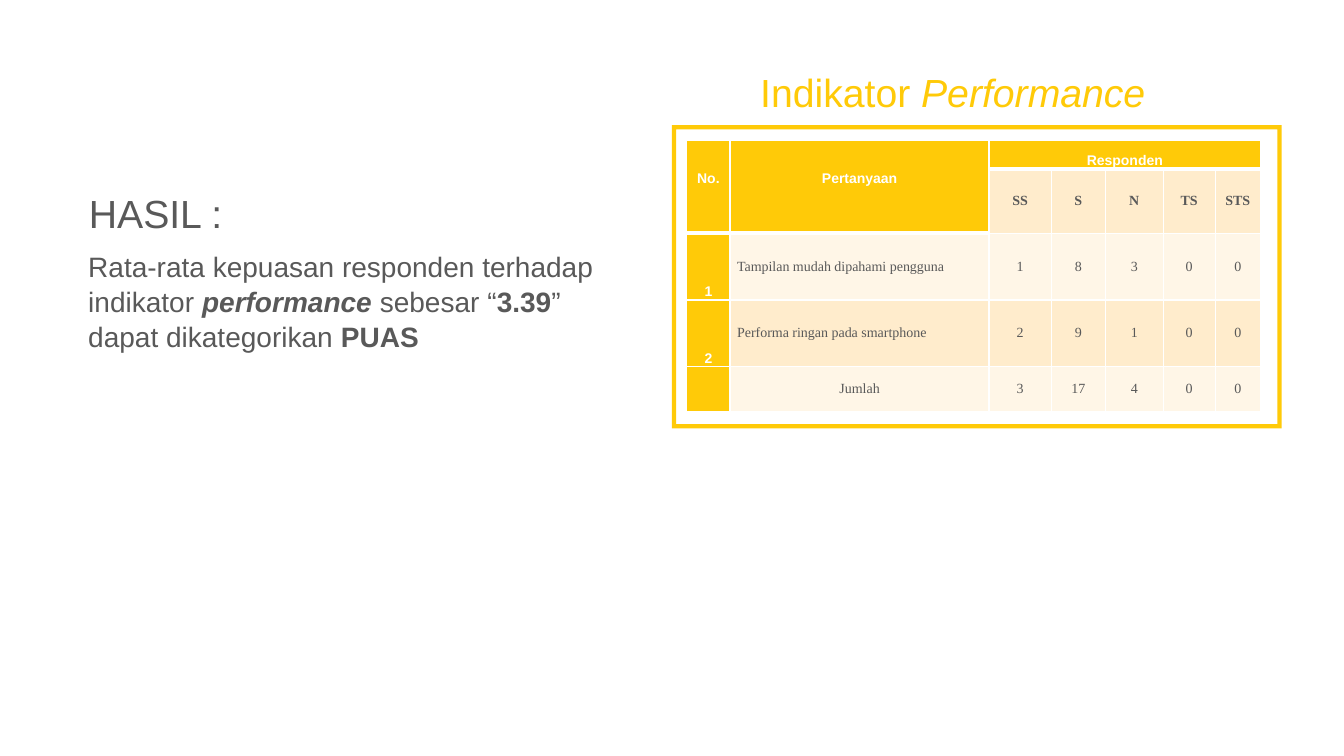
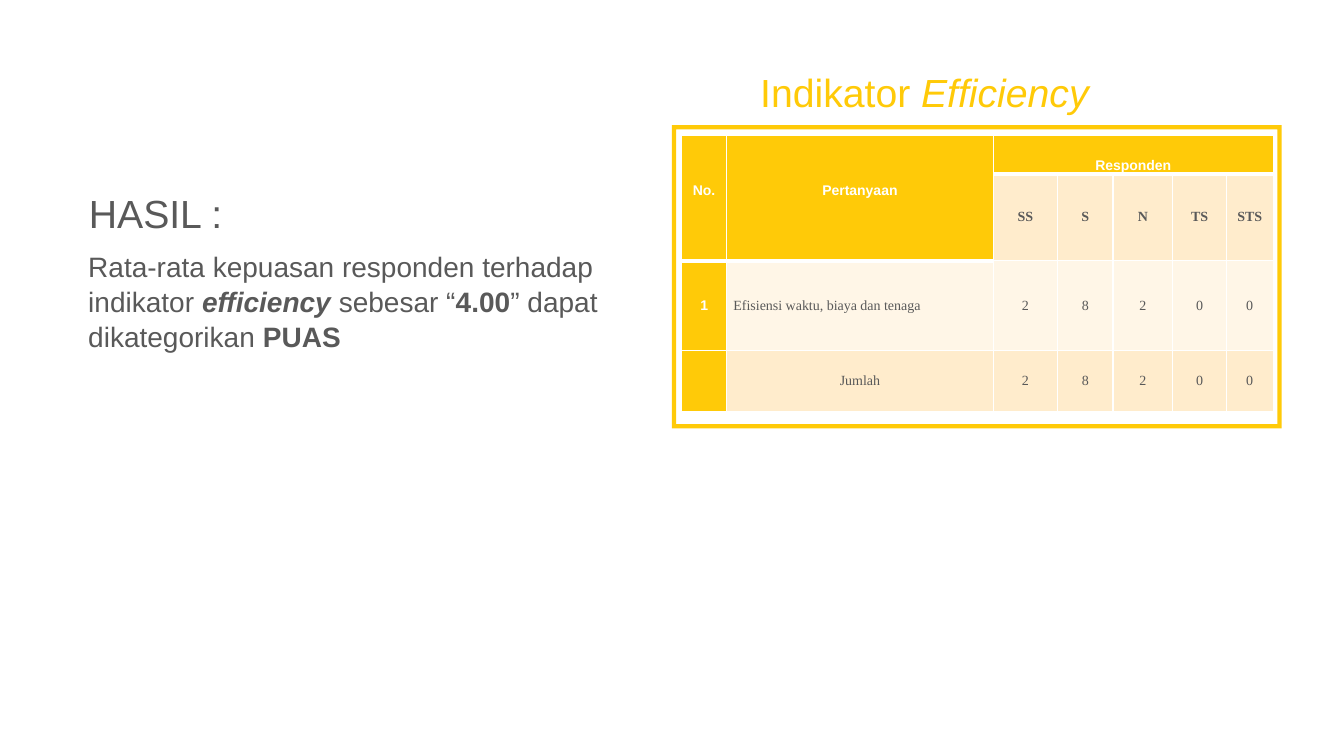
"""Build two survey result slides, each with a finding and a table."""
from lxml import etree
from pptx import Presentation
from pptx.dml.color import RGBColor
from pptx.enum.shapes import MSO_SHAPE
from pptx.enum.text import MSO_ANCHOR, MSO_AUTO_SIZE, PP_ALIGN
from pptx.oxml.ns import qn
from pptx.util import Pt

TOP, MID, LOW = MSO_ANCHOR.TOP, MSO_ANCHOR.MIDDLE, MSO_ANCHOR.BOTTOM
LEFT, CENTER = PP_ALIGN.LEFT, PP_ALIGN.CENTER
FRAME = MSO_SHAPE.FRAME
GROW = MSO_AUTO_SIZE.SHAPE_TO_FIT_TEXT

GOLD, GREY, WHITE = "FFCA08", "595959", "FFFFFF"
PALE, CREAM = "FFECCC", "FFF6E7"
SANS, SERIF = "Arial", "Times New Roman"

COLS = [31, 185, 44.5, 38.5, 41.5, 37, 32.5]
HEAD = [
    ["No.", "Pertanyaan", "Responden", "", "", "", ""],
    ["", "", "SS", "S", "N", "TS", "STS"],
]
HEAD_ROWS, ITEM_ROW, SUM_ROW = [20, 46], 47.5, 32
GAP = 11.5


def color(code):
    return RGBColor.from_string(code)


def write(frame, runs, size=10, font=SANS, tint=GREY, bold=False,
          align=LEFT, line=1.0):
    """Fill a text frame with runs of (text, marks), marks being 'b' and 'i'."""
    para = frame.paragraphs[0]
    props = para._p.get_or_add_pPr()
    props.set("marL", "0")
    props.set("indent", "0")
    etree.SubElement(props, qn("a:buNone"))
    para.alignment, para.line_spacing = align, line
    para.space_before = para.space_after = Pt(0)
    para.font.size = Pt(size)
    for text, marks in runs:
        run = para.add_run()
        run.text = text
        run.font.size, run.font.name = Pt(size), font
        run.font.bold, run.font.italic = bold or "b" in marks, "i" in marks
        run.font.color.rgb = color(tint)


def edge(cell, side, width):
    """Draw one white border of a table cell."""
    line = etree.SubElement(cell._tc.get_or_add_tcPr(), qn("a:ln" + side),
                            w=str(Pt(width)))
    fill = etree.SubElement(line, qn("a:solidFill"))
    etree.SubElement(fill, qn("a:srgbClr"), val=WHITE)


class Deck:
    """Hold the deck, its style and the current slide."""

    def __init__(self):
        self.file = Presentation()
        self.file.slide_width, self.file.slide_height = Pt(960), Pt(540)

    def page(self):
        self.slide = self.file.slides.add_slide(self.file.slide_layouts[1])
        shape = self.slide.shapes.add_shape(
            FRAME, Pt(480), Pt(89.5), Pt(435.5), Pt(216.5))
        shape.adjustments[0] = 0.014
        shape.shadow.inherit = False
        shape.fill.solid()
        shape.fill.fore_color.rgb = color(GOLD)
        shape.line.fill.background()

    def place(self, shape, box, runs, anchor=TOP, pad=(3.5, 2), **form):
        shape.left, shape.top, shape.width, shape.height = map(Pt, box)
        frame = shape.text_frame
        frame.word_wrap, frame.auto_size = True, GROW
        frame.vertical_anchor = anchor
        frame.margin_left, frame.margin_right = map(Pt, pad)
        frame.margin_top = frame.margin_bottom = Pt(0)
        write(frame, runs, line=1.05, **form)

    def title(self, name):
        self.place(self.slide.shapes.title, (539.5, 47, 369.5, 34),
                   [("Indikator ", ""), (name, "i")], size=28, tint=GOLD)

    def label(self, text):
        box = (60, 133.5, 369.5, 34)
        shape = self.slide.shapes.add_textbox(*map(Pt, box))
        self.place(shape, box, [(text, "")], size=28)

    def body(self, name, score):
        runs = [("Rata-rata kepuasan responden terhadap indikator ", ""),
                (name.lower(), "bi"), (" sebesar “", ""), (score, "b"),
                ("” dapat dikategorikan ", ""), ("PUAS", "b")]
        self.place(self.slide.placeholders[1], (60, 178.5, 372, 72.5), runs,
                   anchor=MID, pad=(3, 3), size=20)

    def table(self, box, items, low):
        sums = [sum(item[1][i] for item in items) for i in range(5)]
        rows = HEAD + [[str(n), text, *map(str, marks)]
                       for n, (text, marks) in enumerate(items, 1)]
        rows.append(["", "Jumlah", *map(str, sums)])
        highs = HEAD_ROWS + [ITEM_ROW] * len(items) + [SUM_ROW]
        grid = self.slide.shapes.add_table(
            len(rows), len(COLS), *map(Pt, box)).table
        grid.first_row = grid.horz_banding = False
        for col, width in zip(grid.columns, COLS):
            col.width = Pt(box[2] * width / sum(COLS))
        for row, high in zip(grid.rows, highs):
            row.height = Pt(box[3] * high / sum(highs))
        for r, row in enumerate(rows):
            for c, text in enumerate(row):
                self.cell(grid.cell(r, c), r, c, text, low)
        for c in range(2):
            grid.cell(0, c).merge(grid.cell(1, c))
        grid.cell(0, 2).merge(grid.cell(0, 6))

    def cell(self, cell, r, c, text, low):
        deep = 1 if c > 1 else 2
        gold = r < deep or c == 0
        for side, thick in (("L", False), ("R", False),
                            ("T", r == deep), ("B", r < deep)):
            edge(cell, side, 3 if thick else 1)
        cell.fill.solid()
        cell.fill.fore_color.rgb = color(
            GOLD if gold else PALE if r % 2 else CREAM)
        cell.margin_left = cell.margin_right = Pt(5)
        cell.margin_top = Pt(0)
        cell.margin_bottom = Pt(GAP if r == 0 and c < 2 else 0)
        base = (r == 0 and c > 1) or (c == 0 and r > 1 and low)
        cell.vertical_anchor = LOW if base else MID
        item = c == 1 and r > 1 and text != "Jumlah"
        write(cell.text_frame, [(text, "")] if text else [],
              font=SANS if gold else SERIF, tint=WHITE if gold else GREY,
              bold=gold or r < 2, align=LEFT if item else CENTER)


def main():
    pages = [
        ("Performance", "3.39", (490.5, 100.5, 410, 193.5), True,
         [("Tampilan mudah dipahami pengguna", (1, 8, 3, 0, 0)),
          ("Performa ringan pada smartphone", (2, 9, 1, 0, 0))]),
        ("Efficiency", "4.00", (487, 97, 422.5, 197), False,
         [("Efisiensi waktu, biaya dan tenaga", (2, 8, 2, 0, 0))]),
    ]
    deck = Deck()
    for name, score, box, low, items in pages:
        deck.page()
        deck.title(name)
        deck.label("HASIL :")
        deck.body(name, score)
        deck.table(box, items, low)
    deck.file.save("out.pptx")


if __name__ == "__main__":
    main()
